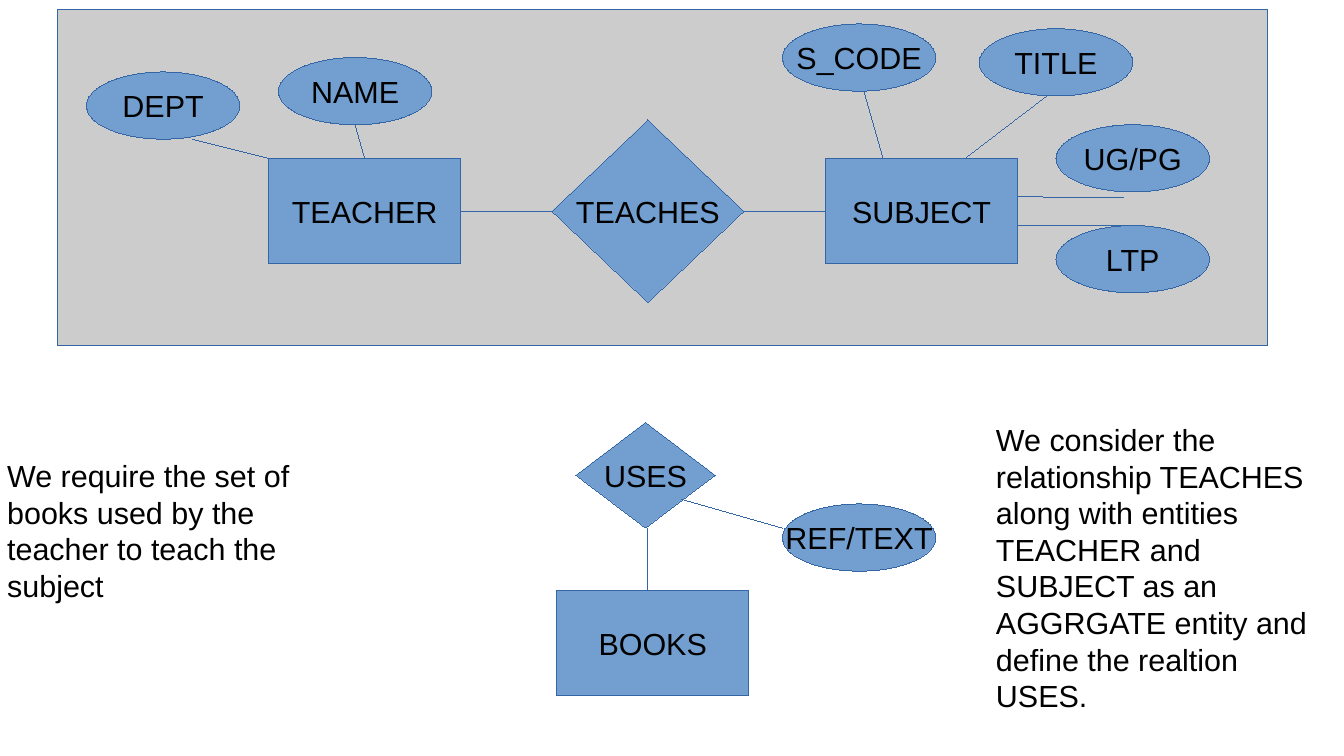
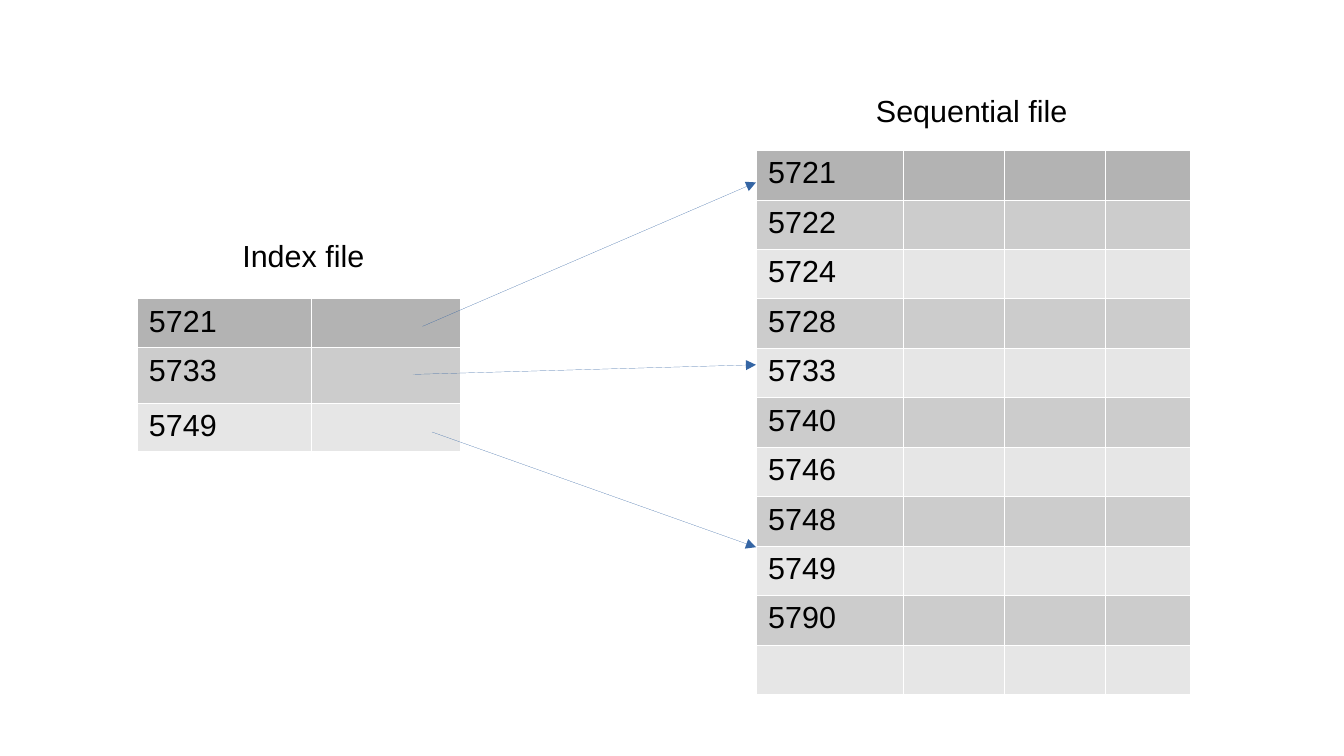
from pptx import Presentation
from pptx.dml.color import RGBColor
from pptx.enum.shapes import MSO_CONNECTOR, MSO_SHAPE as SHAPE
from pptx.enum.text import MSO_ANCHOR as ANCHOR, PP_ALIGN as ALIGN
from pptx.oxml.ns import qn
from pptx.util import Cm, Pt
from lxml.etree import SubElement

BLACK = RGBColor(0x00, 0x00, 0x00)
BLUE = RGBColor(0x72, 0x9F, 0xCF)
EDGE = RGBColor(0x34, 0x65, 0xA4)
PANEL = RGBColor(0xCC, 0xCC, 0xCC)
HEADER = RGBColor(0xB3, 0xB3, 0xB3)
BANDS = (RGBColor(0xE6, 0xE6, 0xE6), PANEL)

FONT = {"name": "Arial", "size": Pt(18)}
ENTITY = (SHAPE.RECTANGLE, 4, 2.2)
ATTRIBUTE = (SHAPE.OVAL, 3.2, 1.4)
TEACHES = (SHAPE.DIAMOND, 4, 3.8)
USES = (SHAPE.DIAMOND, 2.9, 2.2)


def write(p, text):
    """Put text in a paragraph with the shared font."""
    r = p.add_run()
    r.text = text
    for key, value in FONT.items():
        setattr(r.font, key, value)
    r.font.color.rgb = BLACK


def outline(sp):
    """Drop the theme style, with its shadow, and give a thin blue line."""
    sp._element.remove(sp._element.find(qn("p:style")))
    sp.line.color.rgb = EDGE


def add_node(slide, kind, x, y, text="", fill=BLUE):
    """Draw a filled shape with a centred label; kind is (preset, width, height)."""
    preset, w, h = kind
    sp = slide.shapes.add_shape(preset, Cm(x), Cm(y), Cm(w), Cm(h))
    outline(sp)
    sp.fill.solid()
    sp.fill.fore_color.rgb = fill
    if text:
        tf = sp.text_frame
        tf.word_wrap = False
        tf.vertical_anchor = ANCHOR.MIDDLE
        p = tf.paragraphs[0]
        p.alignment = ALIGN.CENTER
        write(p, text)


def add_line(slide, x1, y1, x2, y2, arrow=False):
    """Draw a straight line, with an arrowhead at its end if asked."""
    sp = slide.shapes.add_connector(
        MSO_CONNECTOR.STRAIGHT, Cm(x1), Cm(y1), Cm(x2), Cm(y2))
    outline(sp)
    if arrow:
        SubElement(sp.line._get_or_add_ln(), qn("a:tailEnd"), type="triangle")


def add_text(slide, x, y, w, h, text):
    """Add a wrapped text box."""
    tf = slide.shapes.add_textbox(Cm(x), Cm(y), Cm(w), Cm(h)).text_frame
    tf.word_wrap = True
    write(tf.paragraphs[0], text)


def add_diagram(slide, x, y, nodes, links):
    """Draw nodes and links placed relative to the corner x, y."""
    for kind, dx, dy, text in nodes:
        add_node(slide, kind, x + dx, y + dy, text)
    for x1, y1, x2, y2 in links:
        add_line(slide, x + x1, y + y1, x + x2, y + y2)


def add_aggregate(slide, x, y, w, h):
    """Draw the panel that groups teacher, teaches and subject."""
    add_node(slide, (SHAPE.RECTANGLE, w, h), x, y, fill=PANEL)
    nodes = [
        (ENTITY, 4.4, 3.1, "TEACHER"),
        (ENTITY, 16, 3.1, "SUBJECT"),
        (TEACHES, 10.3, 2.3, "TEACHES"),
        (ATTRIBUTE, 0.6, 1.3, "DEPT"),
        (ATTRIBUTE, 4.6, 1, "NAME"),
        (ATTRIBUTE, 15.1, 0.3, "S_CODE"),
        (ATTRIBUTE, 19.2, 0.4, "TITLE"),
        (ATTRIBUTE, 20.8, 2.4, "UG/PG"),
        (ATTRIBUTE, 20.8, 4.5, "LTP"),
    ]
    links = [
        (8.4, 4.2, 10.3, 4.2),
        (14.3, 4.2, 16, 4.2),
        (4.4, 3.1, 2.8, 2.7),
        (6.4, 3.1, 6.2, 2.4),
        (17.2, 3.1, 16.8, 1.7),
        (18.9, 3.1, 20.6, 1.8),
        (20, 3.9, 22.2, 3.92),
        (20, 4.5, 22.2, 4.5),
    ]
    add_diagram(slide, x, y, nodes, links)


def add_uses(slide, x, y):
    """Draw the uses relationship with its books and attribute."""
    nodes = [
        (USES, 0.4, 0, "USES"),
        (ENTITY, 0, 3.5, "BOOKS"),
        (ATTRIBUTE, 4.7, 1.7, "REF/TEXT"),
    ]
    links = [(1.9, 2.2, 1.9, 3.5), (2.6, 1.6, 4.7, 2.2)]
    add_diagram(slide, x, y, nodes, links)


def format_cell(cell, fill):
    """Give a cell thin white borders and a fill."""
    tcPr = cell._tc.get_or_add_tcPr()
    for side in ("lnL", "lnR", "lnT", "lnB"):
        ln = SubElement(tcPr, qn(f"a:{side}"), w="720")
        SubElement(SubElement(ln, qn("a:solidFill")), qn("a:srgbClr"), val="FFFFFF")
    cell.fill.solid()
    cell.fill.fore_color.rgb = fill


def add_file(slide, x, y, widths, heights, keys, caption):
    """Draw a file as a table of keys; caption is (dx, dy, width, text)."""
    table = slide.shapes.add_table(
        len(heights), len(widths), Cm(x), Cm(y),
        Cm(sum(widths)), Cm(sum(heights))).table
    table.first_row = table.horz_banding = False
    for column, width in zip(table.columns, widths):
        column.width = Cm(width)
    for i, (row, height) in enumerate(zip(table.rows, heights)):
        row.height = Cm(height)
        for cell in row.cells:
            format_cell(cell, BANDS[i % 2] if i else HEADER)
    for i, key in enumerate(keys):
        write(table.cell(i, 0).text_frame.paragraphs[0], key)
    dx, dy, width, text = caption
    add_text(slide, x + dx, y + dy, width, 0.95, text)


def build_aggregation(slide):
    """Build the aggregation diagram with its two notes."""
    add_aggregate(slide, 1.2, 0.2, 25.2, 7)
    add_uses(slide, 11.6, 8.8)
    add_text(slide, -0.1, 9.4, 7.3, 1.65,
             "We require the set of books used by the teacher to teach the subject")
    add_text(slide, 20.5, 8.65, 7.3, 1.65,
             "We consider the relationship TEACHES along with entities TEACHER and "
             "SUBJECT as an AGGRGATE entity and define the realtion USES.")


def build_index(slide):
    """Build the index file pointing into the sequential file."""
    keys = ("5721", "5722", "5724", "5728", "5733",
            "5740", "5746", "5748", "5749", "5790")
    add_file(slide, 15.75, 3.13, (3.07, 2.1, 2.1, 1.78), [0.96] * (len(keys) + 1),
             keys, (2.25, -1.33, 4.7, "Sequential file"))
    add_file(slide, 2.85, 6.22, (3.63, 3.1), (1.02, 1.15, 0.96),
             ("5721", "5733", "5749"), (1.95, -1.4, 3.2, "Index file"))
    for x1, y1, y2 in ((8.8, 6.8, 3.8), (8.6, 7.8, 7.6), (9, 9, 11.4)):
        add_line(slide, x1, y1, 15.75, y2, arrow=True)


def main():
    """Build and save the presentation."""
    prs = Presentation()
    prs.slide_width, prs.slide_height = Cm(28), Cm(15.75)
    for build in (build_aggregation, build_index):
        build(prs.slides.add_slide(prs.slide_layouts[6]))
    prs.save("out.pptx")


if __name__ == "__main__":
    main()
